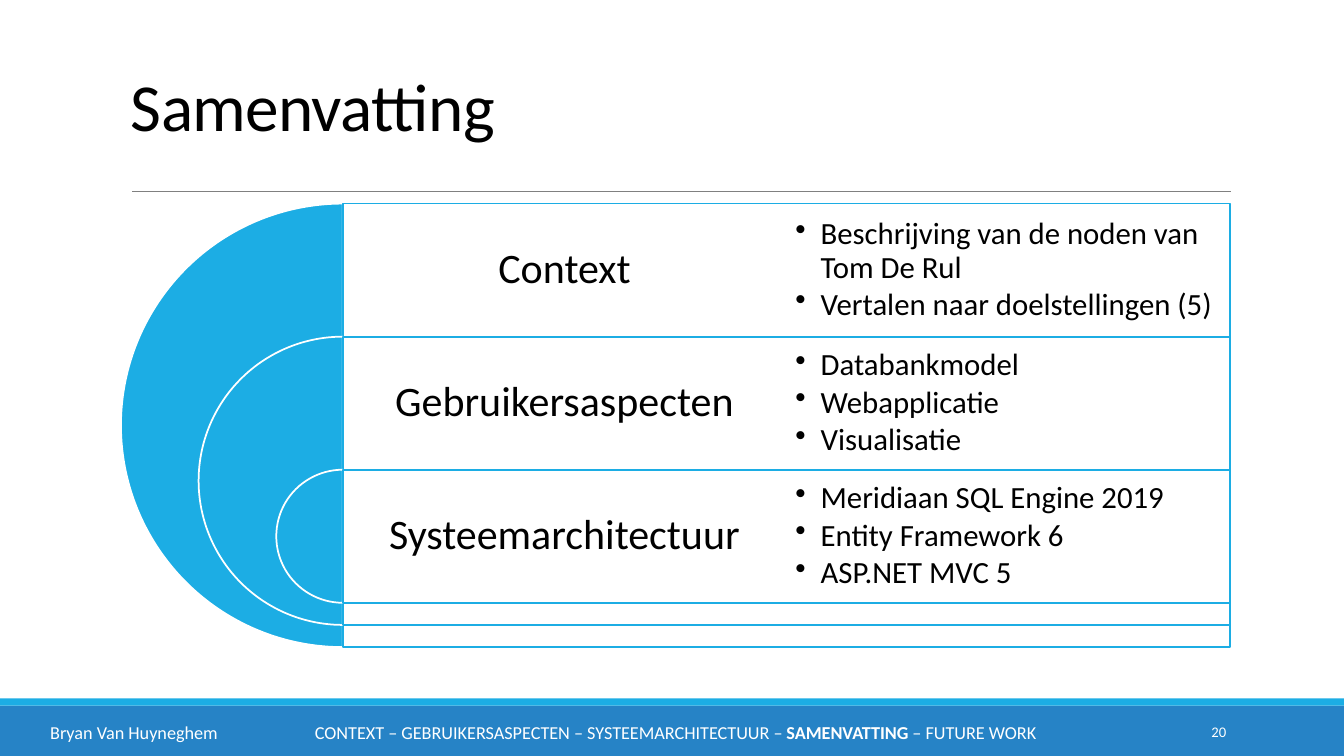
"""Build the summary slide: three nested half circles with topic rows."""
from dataclasses import dataclass

from lxml import etree
from pptx import Presentation
from pptx.dml.color import RGBColor
from pptx.enum.shapes import MSO_CONNECTOR, MSO_SHAPE
from pptx.enum.text import MSO_ANCHOR, PP_ALIGN
from pptx.oxml.ns import qn
from pptx.util import Pt

RECTANGLE, PIE = MSO_SHAPE.RECTANGLE, MSO_SHAPE.PIE
STRAIGHT = MSO_CONNECTOR.STRAIGHT
MIDDLE = MSO_ANCHOR.MIDDLE
LEFT, CENTER, RIGHT = PP_ALIGN.LEFT, PP_ALIGN.CENTER, PP_ALIGN.RIGHT
PX = 9144


@dataclass(frozen=True)
class Theme:
    font: str = "Calibri"
    black: RGBColor = RGBColor(0x00, 0x00, 0x00)
    white: RGBColor = RGBColor(0xFF, 0xFF, 0xFF)
    gray: RGBColor = RGBColor(0x80, 0x80, 0x80)
    cyan: RGBColor = RGBColor(0x1C, 0xAD, 0xE4)
    blue: RGBColor = RGBColor(0x26, 0x83, 0xC6)
    title_size: float = 48
    topic_size: float = 30
    bullet_size: float = 22
    footer_size: float = 13
    number_size: float = 10.5
    outline: float = 1.25
    rule: float = 0.5


theme = Theme()
presentation = Presentation()
presentation.slide_width, presentation.slide_height = 1333 * PX, 750 * PX
slide = presentation.slides.add_slide(presentation.slide_layouts[6])


def add_block(kind, box, fill, line=None):
    shape = slide.shapes.add_shape(kind, *(value * PX for value in box))
    shape.shadow.inherit = False
    shape.fill.solid()
    shape.fill.fore_color.rgb = fill
    if line is None:
        shape.line.fill.background()
    else:
        shape.line.color.rgb = line
        shape.line.width = Pt(theme.outline)
    return shape


def add_text(box, paragraphs, size, color, align=LEFT, inset=None, spacing=None):
    frame = slide.shapes.add_textbox(*(value * PX for value in box)).text_frame
    frame.word_wrap = True
    frame.vertical_anchor = MIDDLE
    if inset is not None:
        frame.margin_left = frame.margin_right = inset * PX
        frame.margin_top = frame.margin_bottom = inset * PX
    for index, runs in enumerate(paragraphs):
        paragraph = frame.paragraphs[0] if index == 0 else frame.add_paragraph()
        paragraph.alignment = align
        paragraph.line_spacing = spacing
        for text, bold in runs:
            run = paragraph.add_run()
            run.text = text
            run.font.name = theme.font
            run.font.size = Pt(size)
            run.font.bold = bold
            run.font.color.rgb = color
    return frame


add_block(RECTANGLE, (0, 700, 1333, 50), theme.blue)
add_block(RECTANGLE, (0, 693, 1333, 7), theme.cyan)

rule = slide.shapes.add_connector(STRAIGHT, 131 * PX, 190 * PX, 1221 * PX, 190 * PX)
rule.line.color.rgb = theme.gray
rule.line.width = Pt(theme.rule)
etree.SubElement(rule._element.spPr, qn("a:effectLst"))

title = add_text((120, 31, 1100, 159), [[("Samenvatting", False)]],
                 theme.title_size, theme.black, spacing=0.85)
title.paragraphs[0].runs[0].font._element.set("spc", "-50")

topics = [
    ("Context", ["Beschrijving van de noden van Tom De Rul",
                 "Vertalen naar doelstellingen (5)"]),
    ("Gebruikersaspecten", ["Databankmodel", "Webapplicatie", "Visualisatie"]),
    ("Systeemarchitectuur", ["Meridiaan SQL Engine 2019", "Entity Framework 6",
                             "ASP.NET MVC 5"]),
]
axis, top, full_height, row_height, column_width = 340, 202, 440, 132, 440
height_step = 154

for row, (topic, bullets) in enumerate(topics):
    y = top + row * row_height
    height = full_height - row * height_step
    half_circle = add_block(PIE, (axis - height // 2, y, height, height),
                            theme.cyan, theme.white)
    half_circle.adjustments[0] = 54
    half_circle.adjustments[1] = 162
    panel = add_block(RECTANGLE, (axis, y, 2 * column_width, height),
                      theme.white, theme.cyan)
    panel_color = panel._element.spPr.find(qn("a:solidFill"))[0]
    etree.SubElement(panel_color, qn("a:alpha"), val="90000")
    add_text((axis, y, column_width, row_height), [[(topic, False)]],
             theme.topic_size, theme.black, CENTER, 12, 0.9)
    details = add_text((axis + column_width, y, column_width, row_height),
                       [[(bullet, False)] for bullet in bullets],
                       theme.bullet_size, theme.black, LEFT, 9, 0.9)
    for paragraph in details.paragraphs:
        paragraph.space_after = Pt(3)
        properties = paragraph._p.get_or_add_pPr()
        properties.set("marL", str(25 * PX))
        properties.set("indent", str(-25 * PX))
        etree.SubElement(properties, qn("a:buChar"), char="•")

footer = [
    ((1083, 706, 143, 40), [("20", False)], theme.number_size, RIGHT),
    ((286, 706, 768, 40),
     [("CONTEXT – GEBRUIKERSASPECTEN – SYSTEEMARCHITECTUUR – ", False),
      ("SAMENVATTING", True), (" – FUTURE WORK", False)], theme.footer_size, CENTER),
    ((40, 706, 270, 40), [("Bryan Van Huyneghem", False)], theme.footer_size, LEFT),
]
for box, runs, size, align in footer:
    add_text(box, [runs], size, theme.white, align)

presentation.save("out.pptx")
